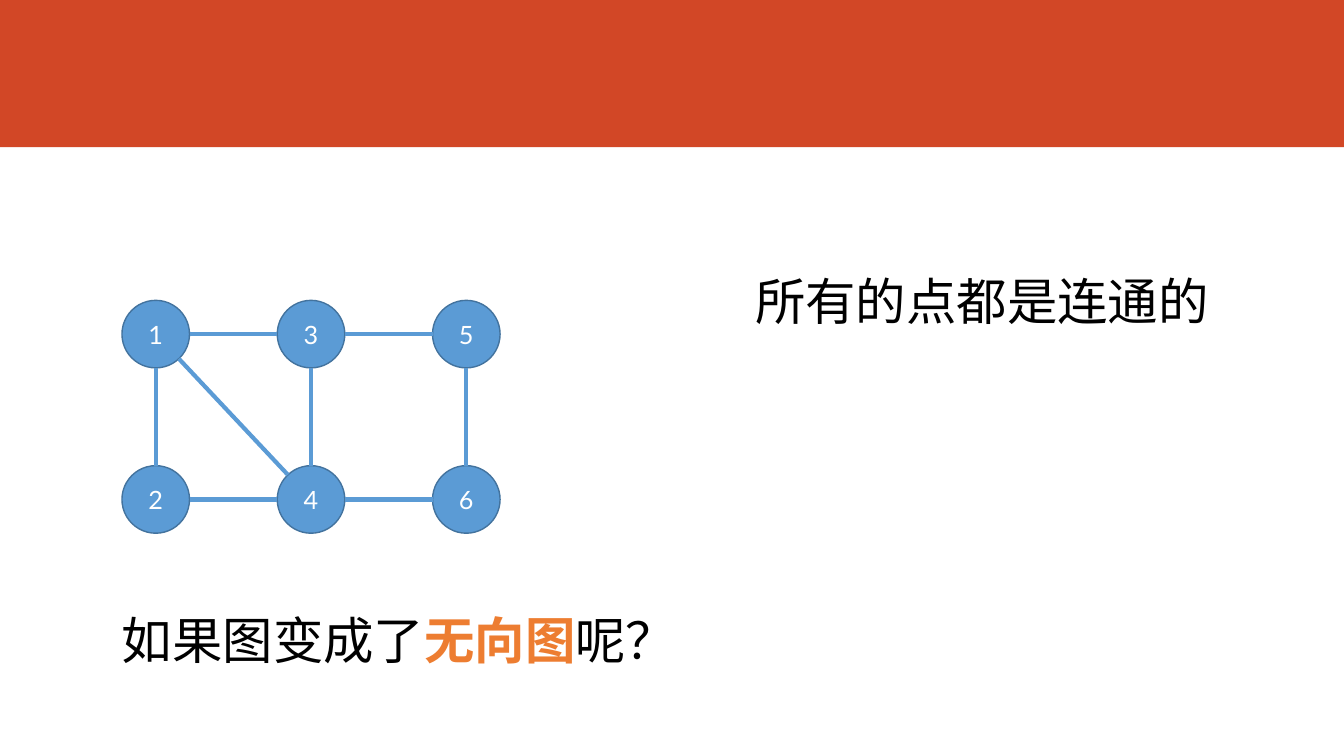
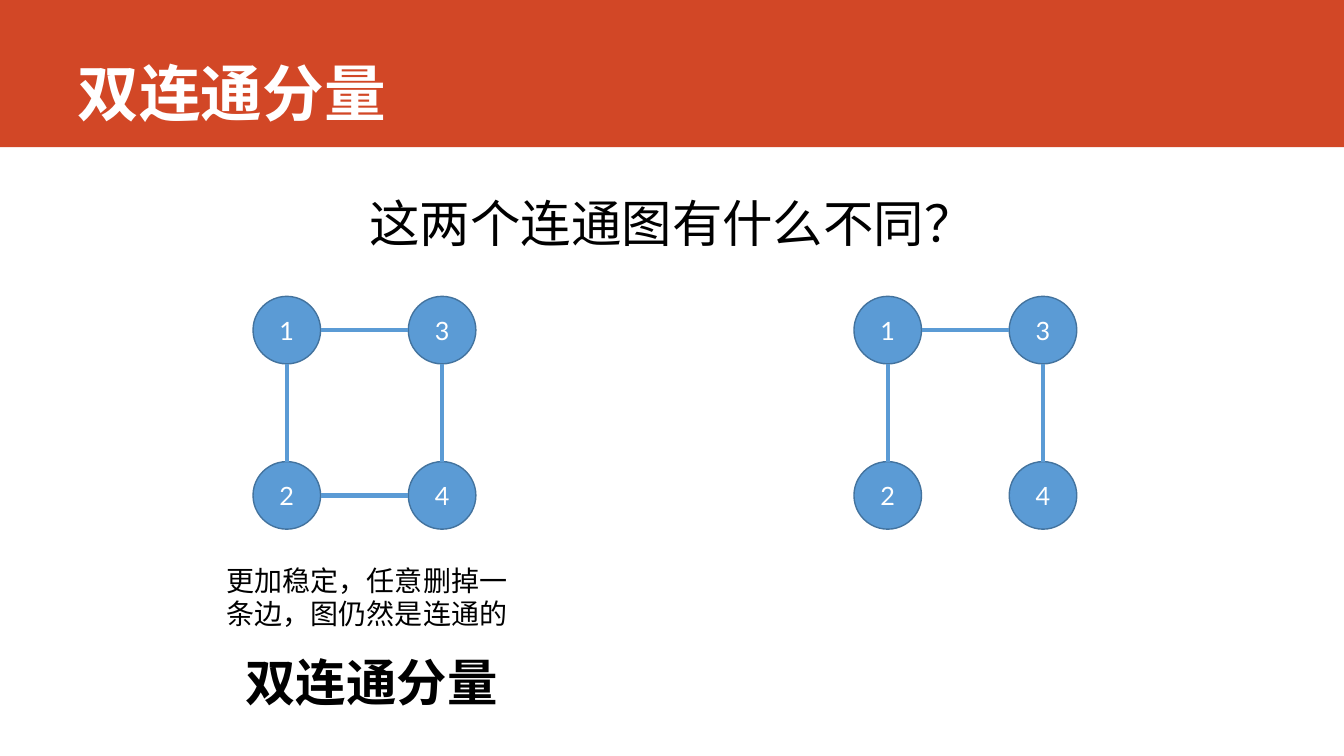
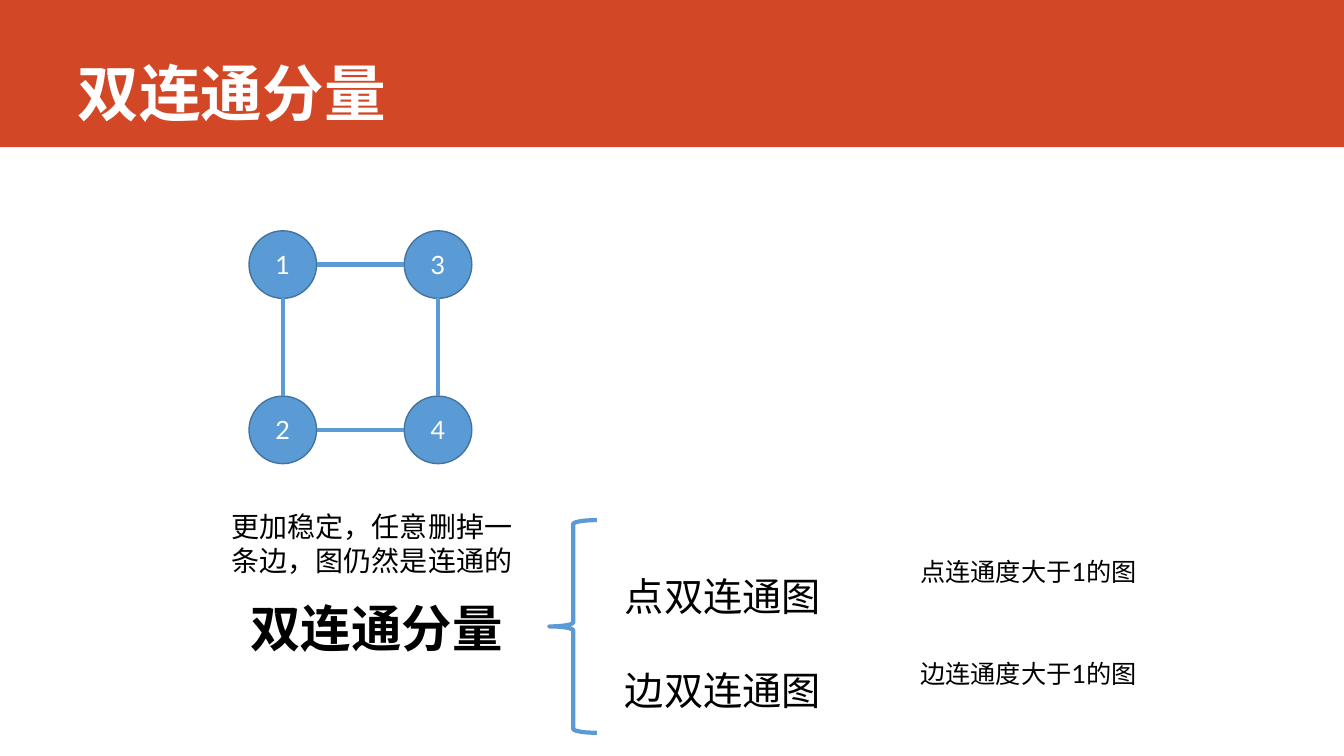
from math import hypot

from lxml import etree
from pptx import Presentation
from pptx.dml.color import RGBColor
from pptx.enum.shapes import MSO_CONNECTOR, MSO_SHAPE
from pptx.enum.text import MSO_ANCHOR, PP_ALIGN
from pptx.oxml.ns import qn
from pptx.util import Inches, Pt

LEFT, CENTER = PP_ALIGN.LEFT, PP_ALIGN.CENTER
TOP, MIDDLE, BOTTOM = MSO_ANCHOR.TOP, MSO_ANCHOR.MIDDLE, MSO_ANCHOR.BOTTOM
ELLIPSE, BRACE, RECTANGLE = MSO_SHAPE.OVAL, MSO_SHAPE.LEFT_BRACE, MSO_SHAPE.RECTANGLE
STRAIGHT = MSO_CONNECTOR.STRAIGHT

BAND_RED = RGBColor(0xD2, 0x47, 0x26)
BLUE = RGBColor(0x5B, 0x9B, 0xD5)
DARK_BLUE = RGBColor(0x43, 0x73, 0x9E)
ORANGE = RGBColor(0xED, 0x7D, 0x31)
BLACK = RGBColor(0, 0, 0)
WHITE = RGBColor(0xFF, 0xFF, 0xFF)
BODY_FONT, CJK_FONT = "Lato", "Noto Sans CJK SC"

# Measures in inches
SLIDE_W, SLIDE_H = 13.33, 7.5
BAND_H = 1.46
TITLE_BOX = (0.67, 0, 11.75, 1.34)
NODE = 0.67
COLUMN, ROW = 1.54, 1.64  # distance between neighbouring nodes
EDGE_PT = 3

# Content: a graph is its origin, node count and edges;
# a text is its box, size, paragraphs of (text, format) runs, and options
SQUARE = [(1, 2), (3, 4), (1, 3), (2, 4)]
OPEN_SQUARE = [(1, 2), (3, 4), (1, 3)]
LADDER = SQUARE + [(5, 6), (3, 5), (4, 6), (1, 4)]
TOPIC = "双连通分量"
STABLE = [[("更加稳定，任意删掉一条边，图仍然是连通的", {})]]
TOPIC_BOLD = [[(TOPIC, {"bold": True})]]

SLIDES = [
    {
        "graphs": [((1.21, 2.98), 6, LADDER)],
        "texts": [
            ((1.11, 5.99, 5.41, 0.71), 36,
             [[("如果图变成了", {}), ("无向图", {"bold": True, "color": ORANGE}), ("呢？", {})]], {}),
            ((7.39, 2.63, 4.84, 0.71), 36, [[("所有的点都是连通的", {})]], {}),
        ],
    },
    {
        "title": TOPIC,
        "graphs": [((2.51, 2.94), 4, SQUARE), ((8.47, 2.94), 4, OPEN_SQUARE)],
        "texts": [
            ((3.22, 1.86, 6.89, 0.71), 36, [[("这两个连通图有什么不同？", {})]], {"align": CENTER}),
            ((2.15, 5.54, 3.06, 0.77), 20, STABLE, {}),
            ((1.97, 6.41, 3.43, 0.71), 36, TOPIC_BOLD, {"align": CENTER}),
        ],
    },
    {
        "title": TOPIC,
        "graphs": [((2.47, 2.29), 4, SQUARE)],
        "brace": (5.45, 5.16, 0.47, 2.11),
        "texts": [
            ((2.2, 5.01, 3.06, 0.77), 20, STABLE, {}),
            ((2.02, 5.87, 3.43, 0.71), 36, TOPIC_BOLD, {"align": CENTER}),
            ((6.1, 5.16, 2.17, 1.99), 28,
             [[("点双连通图", {})], [("边双连通图", {})]], {"spacing": 2.0, "wrap": False}),
            ((9.03, 5.47, 2.36, 0.4), 18, [[("点连通度大于1的图", {})]], {}),
            ((9.03, 6.48, 2.36, 0.4), 18, [[("边连通度大于1的图", {})]], {}),
        ],
    },
]


def inches(box):
    return [Inches(length) for length in box]


def add_run(paragraph, text, size, color=BLACK, bold=False, latin=BODY_FONT):
    run = paragraph.add_run()
    run.text = text
    for key, value in {"size": Pt(size), "bold": bold, "name": latin}.items():
        setattr(run.font, key, value)
    run.font.color.rgb = color
    latin_tag = run.font._element.find(qn("a:latin"))
    east_asian = etree.Element(qn("a:ea"), typeface=CJK_FONT)
    latin_tag.addnext(east_asian)


def add_text(slide, box, size, paragraphs, options):
    frame = slide.shapes.add_textbox(*inches(box)).text_frame
    frame.word_wrap = options.get("wrap", True)
    frame.vertical_anchor = TOP
    for index, runs in enumerate(paragraphs):
        paragraph = frame.add_paragraph() if index else frame.paragraphs[0]
        paragraph.alignment = options.get("align", LEFT)
        paragraph.line_spacing = options.get("spacing", 1.0)
        for text, style in runs:
            add_run(paragraph, text, size, **style)


def add_outline(slide, kind, box, fill, line, width):
    shape = slide.shapes.add_shape(kind, *inches(box))
    shape.shadow.inherit = False
    if fill is None:
        shape.fill.background()
    else:
        shape.fill.solid()
        shape.fill.fore_color.rgb = fill
    if line is None:
        shape.line.fill.background()
    else:
        shape.line.color.rgb = line
        shape.line.width = Pt(width)
    return shape


def add_edge(slide, start, end):
    """Line between two node centres, cut back to the circles."""
    (x1, y1), (x2, y2) = start, end
    share = NODE / 2 / hypot(x2 - x1, y2 - y1)
    dx, dy = (x2 - x1) * share, (y2 - y1) * share
    edge = slide.shapes.add_connector(STRAIGHT, *inches((x1 + dx, y1 + dy, x2 - dx, y2 - dy)))
    edge.line.color.rgb = BLUE
    edge.line.width = Pt(EDGE_PT)
    etree.SubElement(edge._element.spPr, qn("a:effectLst"))


def add_graph(slide, origin, count, edges):
    """Nodes are numbered down each column, then across."""
    centres = {}
    for number in range(1, count + 1):
        column, row = divmod(number - 1, 2)
        x, y = origin[0] + column * COLUMN, origin[1] + row * ROW
        centres[number] = (x + NODE / 2, y + NODE / 2)
        node = add_outline(slide, ELLIPSE, (x, y, NODE, NODE), BLUE, DARK_BLUE, 1)
        node.text_frame.vertical_anchor = MIDDLE
        label = node.text_frame.paragraphs[0]
        label.alignment = CENTER
        add_run(label, str(number), 18, WHITE)
    for start, end in edges:
        add_edge(slide, centres[start], centres[end])


def add_title(slide, text):
    title = slide.shapes.title
    title.left, title.top, title.width, title.height = inches(TITLE_BOX)
    title.text_frame.vertical_anchor = BOTTOM
    paragraph = title.text_frame.paragraphs[0]
    paragraph.alignment = LEFT
    paragraph.line_spacing = 0.9
    add_run(paragraph, text, 44, WHITE, True, CJK_FONT)


def add_master_band(prs, slide):
    """Draw the band once and move it to the back of the master."""
    band = add_outline(slide, RECTANGLE, (0, 0, SLIDE_W, BAND_H), BAND_RED, None, 0)
    prs.slide_master.shapes._spTree.insert(2, band._element)


def main():
    prs = Presentation()
    prs.slide_width, prs.slide_height = inches((SLIDE_W, SLIDE_H))
    title_only, blank = prs.slide_layouts[5], prs.slide_layouts[6]
    for content in SLIDES:
        slide = prs.slides.add_slide(title_only if "title" in content else blank)
        if "title" in content:
            add_title(slide, content["title"])
        for graph in content["graphs"]:
            add_graph(slide, *graph)
        if "brace" in content:
            add_outline(slide, BRACE, content["brace"], None, BLUE, EDGE_PT)
        for text in content["texts"]:
            add_text(slide, *text)
    add_master_band(prs, prs.slides[0])
    prs.save("out.pptx")


if __name__ == "__main__":
    main()
